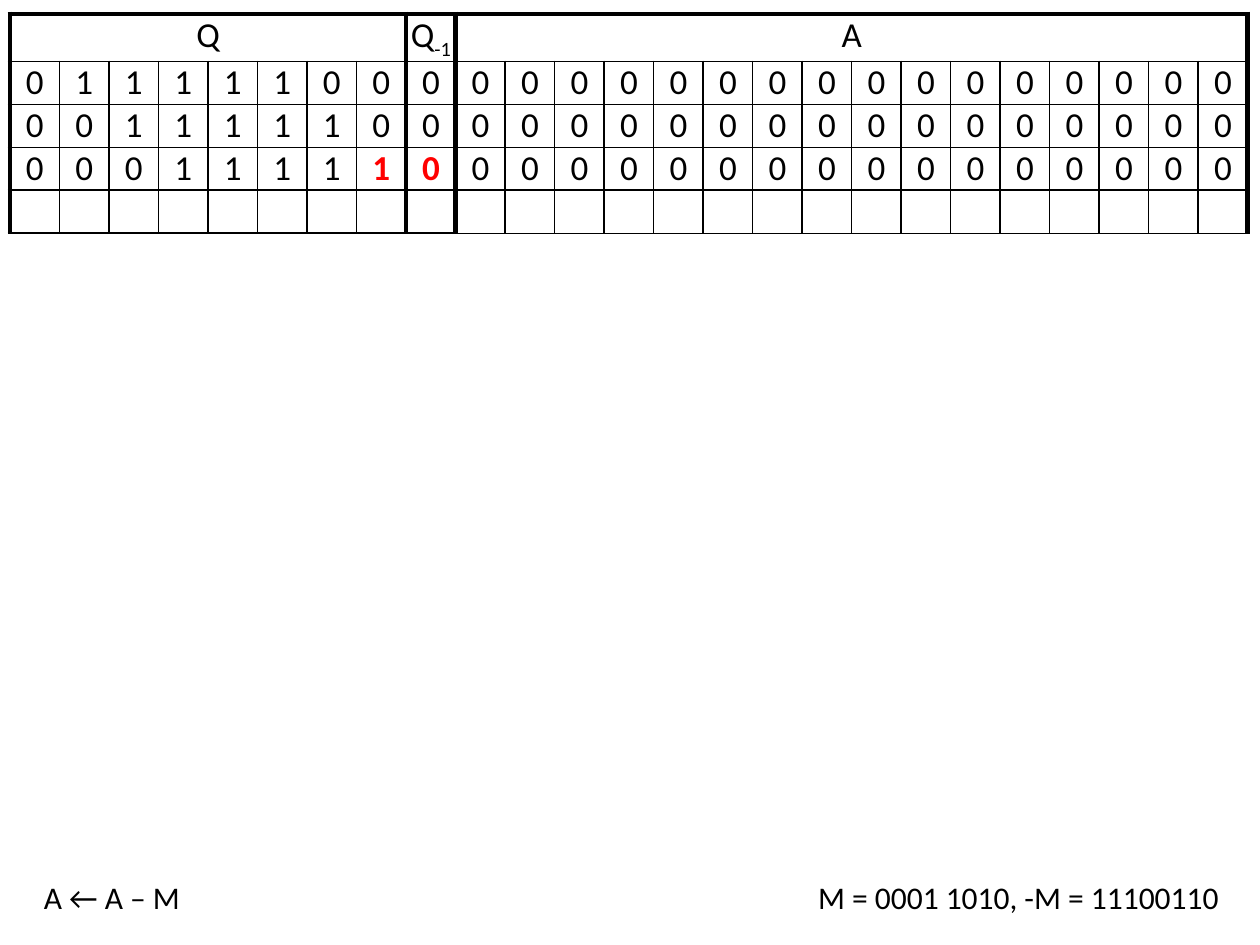
from lxml import etree
from pptx import Presentation
from pptx import util as u
from pptx.dml import color
from pptx.enum import text
from pptx.oxml import ns

COLORS = {"ink": "000000", "active": "FF0000"}
GROUPS = [
    {"label": "Q", "sub": "", "start": 0, "end": 8},
    {"label": "Q", "sub": "-1", "start": 8, "end": 9},
    {"label": "A", "sub": "", "start": 9, "end": 25},
]
STEPS = [
    ("01111100", "0", "0" * 16),
    ("00111110", "0", "0" * 16),
    ("00011111", "0", "0" * 16),
    ("", "", ""),
]
ACTIVE_CELLS = {(3, 7), (3, 8)}
CAPTIONS = [
    ("A ← A – M", 0.25, text.PP_ALIGN.LEFT),
    ("M = 0001 1010, -M = 11100110 ", 6, text.PP_ALIGN.RIGHT),
]
ROWS, COLUMNS = len(STEPS) + 1, GROUPS[-1]["end"]
EDGES = {0} | {group["end"] for group in GROUPS}
THICK, NORMAL, FINE = 3, 1, 0.75
ZERO_MARGINS = dict.fromkeys(
    ("margin_left", "margin_right", "margin_top", "margin_bottom"), 0)


def apply(target, values):
    for name, value in values.items():
        setattr(target, name, value)


def add_span(para, words, size, ink="ink", bold=False):
    span = para.add_run()
    span.text = words
    apply(span.font, {"name": "Calibri", "size": u.Pt(size), "bold": bold})
    span.font.color.rgb = color.RGBColor.from_string(COLORS[ink])
    return span


def side_width(edge, row):
    return THICK if row == 0 or edge in EDGES else NORMAL


def level_width(level, column):
    if level == 0:
        return THICK
    return FINE if level in (3, 5) and column >= GROUPS[-1]["start"] else NORMAL


def add_borders(cell, row, column):
    widths = {
        "lnL": side_width(column, row),
        "lnR": side_width(column + 1, row),
        "lnT": level_width(row, column),
        "lnB": level_width(row + 1, column),
    }
    properties = cell._tc.get_or_add_tcPr()
    for tag, width in widths.items():
        line = etree.SubElement(properties, ns.qn("a:" + tag), w=str(u.Pt(width)))
        fill = etree.SubElement(line, ns.qn("a:solidFill"))
        etree.SubElement(fill, ns.qn("a:srgbClr"), val=COLORS["ink"])


deck = Presentation()
apply(deck, {"slide_width": u.Inches(10), "slide_height": u.Inches(7.5)})
slide = deck.slides.add_slide(deck.slide_layouts[6])

table = slide.shapes.add_table(
    ROWS, COLUMNS, u.Inches(0.08), u.Inches(0.11), u.Inches(9.83), u.Inches(1.6)).table
apply(table, {"first_row": False, "horz_banding": False})

for row in range(ROWS):
    for column in range(COLUMNS):
        cell = table.cell(row, column)
        apply(cell, ZERO_MARGINS)
        add_borders(cell, row, column)
        cell.fill.background()
        para = cell.text_frame.paragraphs[0]
        para.alignment = text.PP_ALIGN.CENTER
        bits = "".join(STEPS[row - 1]) if row else ""
        if bits:
            active = (row, column) in ACTIVE_CELLS
            add_span(para, bits[column], 20, "active" if active else "ink", active)
        elif row:
            etree.SubElement(para._p, ns.qn("a:endParaRPr"), sz="2000")

for group in GROUPS:
    header = table.cell(0, group["start"])
    if group["end"] - group["start"] > 1:
        header.merge(table.cell(0, group["end"] - 1))
    para = header.text_frame.paragraphs[0]
    add_span(para, group["label"], 20)
    if group["sub"]:
        sub = add_span(para, group["sub"], 20)
        sub.font._element.set("baseline", "-25000")

for words, left, alignment in CAPTIONS:
    box = slide.shapes.add_textbox(
        u.Inches(left), u.Inches(6.92), u.Inches(3.83), u.Inches(0.4))
    apply(box.text_frame, {
        "word_wrap": True, "auto_size": text.MSO_AUTO_SIZE.SHAPE_TO_FIT_TEXT})
    para = box.text_frame.paragraphs[0]
    para.alignment = alignment
    add_span(para, words, 18)

deck.save("out.pptx")
